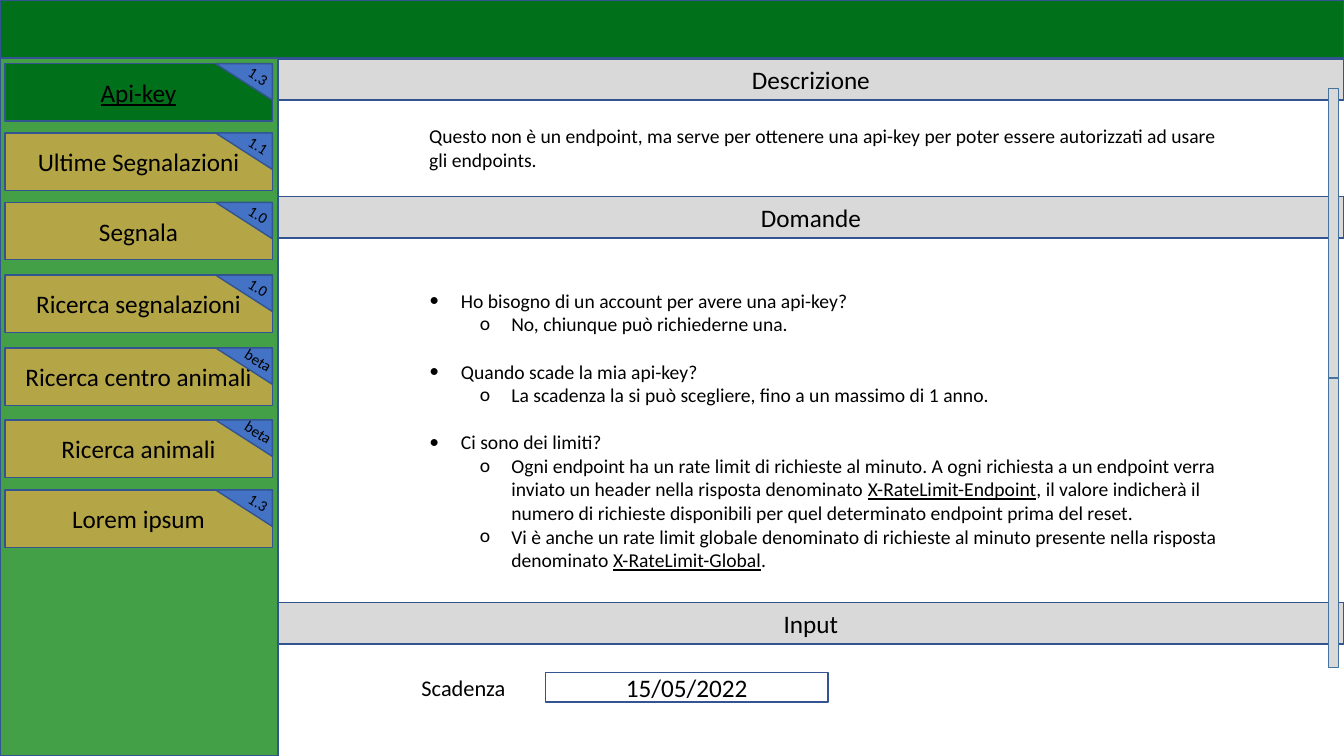
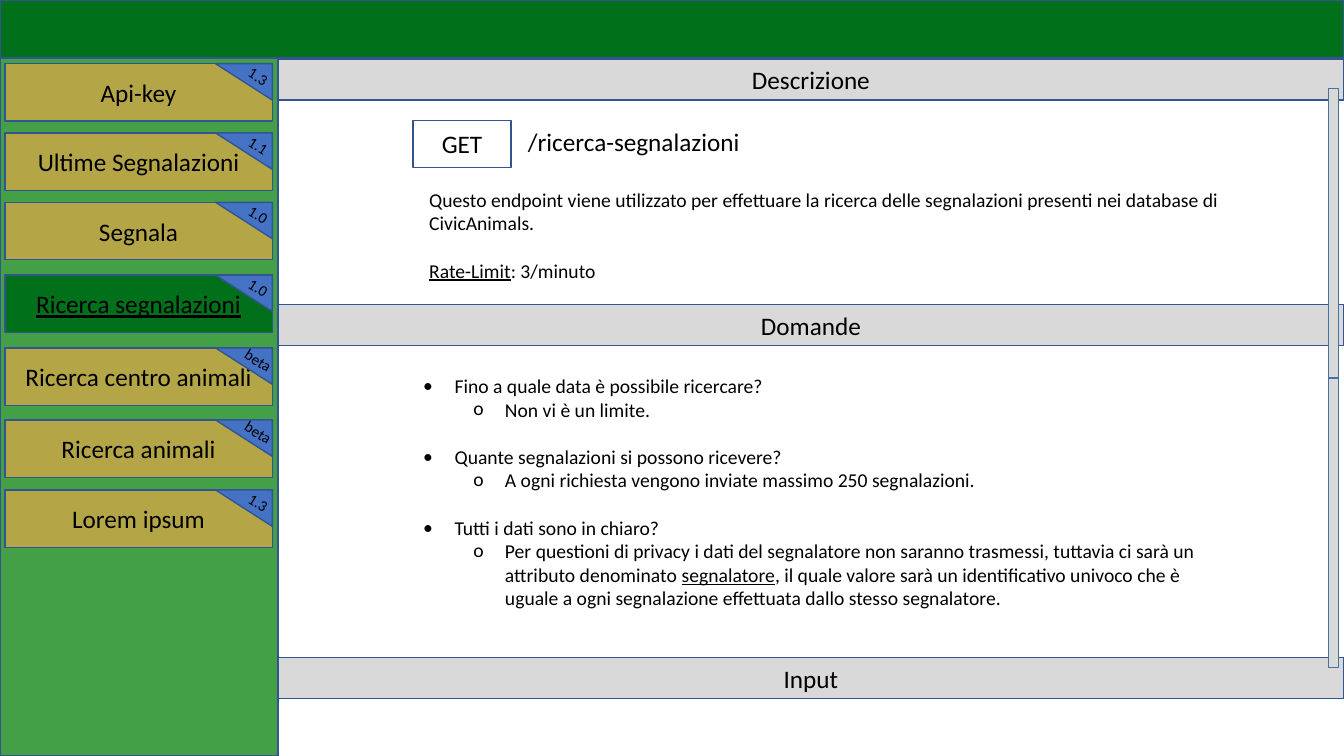
"""Build two API documentation pages with a shared menu, section bands and scroll bar."""
from dataclasses import dataclass

from lxml import etree
from pptx import Presentation
from pptx import util as u
from pptx.dml.color import RGBColor
from pptx.enum import shapes, text
from pptx.oxml.ns import qn


@dataclass(frozen=True)
class Theme:
    font: str = "Calibri"
    ink: str = "000000"
    dark: str = "00701A"
    green: str = "43A047"
    gold: str = "B4A647"
    blue: str = "4472C4"
    grey: str = "D9D9D9"
    white: str = "FFFFFF"
    edge: str = "325491"
    rail: str = "43739E"
    head: float = 18
    label: float = 16
    body: float = 14
    tag: float = 11
    gap: float = 17


T = Theme()
RECT = shapes.MSO_SHAPE.RECTANGLE
LEFT, MID = text.PP_ALIGN.LEFT, text.PP_ALIGN.CENTER
TOP, CORE = text.MSO_ANCHOR.TOP, text.MSO_ANCHOR.MIDDLE


def place(shape, spot=None, fill=None, edge=T.edge):
    """Move a shape to its spot in points and paint it."""
    for name, value in zip(("left", "top", "width", "height"), spot or ()):
        setattr(shape, name, u.Pt(value))
    if fill:
        shape.shadow.inherit = False
        shape.fill.solid()
        shape.fill.fore_color.rgb = RGBColor.from_string(fill)
        shape.line.color.rgb = RGBColor.from_string(edge)
        shape.line.width = u.Pt(1)
    return shape


def write(shape, lines, size=T.head, align=MID, anchor=CORE):
    """Fill a shape with lines, where underscores enclose underlined words."""
    frame = shape.text_frame
    look = {"word_wrap": True, "auto_size": text.MSO_AUTO_SIZE.NONE,
            "vertical_anchor": anchor}
    for name, value in look.items():
        setattr(frame, name, value)
    for row, line in enumerate(lines):
        para = frame.add_paragraph() if row else frame.paragraphs[0]
        para.alignment = align
        para.space_before = u.Pt(T.gap if row else 0)
        for spot, part in enumerate(line.split("_")):
            if part:
                run = para.add_run()
                run.text = part
                look = {"name": T.font, "size": u.Pt(size), "underline": spot % 2 == 1}
                for name, value in look.items():
                    setattr(run.font, name, value)
                run.font.color.rgb = RGBColor.from_string(T.ink)
    return frame.paragraphs


MENU = [
    ("Api-key", "1.3", 45.5),
    ("Ultime Segnalazioni", "1.1", 95),
    ("Segnala", "1.0", 144.5),
    ("Ricerca segnalazioni", "1.0", 196.5),
    ("Ricerca centro animali", "beta", 248.5),
    ("Ricerca animali", "beta", 300),
    ("Lorem ipsum", "1.3", 350),
]
PAGES = [
    {
        "active": "Api-key",
        "bands": {"Domande": 140.5, "Input": 430.5},
        "intro": (299.5, 85, 584, 41),
        "about": ["Questo non è un endpoint, ma serve per ottenere una api-key per "
                  "poter essere autorizzati ad usare gli endpoints."],
        "list": (299.5, 202.5, 584, 211),
        "asks": [
            (0, "Ho bisogno di un account per avere una api-key?"),
            (1, "No, chiunque può richiederne una."),
            (0, "Quando scade la mia api-key?"),
            (1, "La scadenza la si può scegliere, fino a un massimo di 1 anno."),
            (0, "Ci sono dei limiti?"),
            (1, "Ogni endpoint ha un rate limit di richieste al minuto. A ogni "
                "richiesta a un endpoint verra inviato un header nella risposta "
                "denominato _X-RateLimit-Endpoint_, il valore indicherà il numero di "
                "richieste disponibili per quel determinato endpoint prima del reset."),
            (1, "Vi è anche un rate limit globale denominato di richieste al minuto "
                "presente nella risposta denominato _X-RateLimit-Global_."),
        ],
        "field": ("15/05/2022", (389.5, 480.5, 202, 21)),
        "note": ("Scadenza", (294, 478, 77, 27), T.label),
    },
    {
        "active": "Ricerca segnalazioni",
        "bands": {"Domande": 217.5, "Input": 469.5},
        "intro": (299.5, 130.5, 584, 75),
        "about": ["Questo endpoint viene utilizzato per effettuare la ricerca delle "
                  "segnalazioni presenti nei database di CivicAnimals.",
                  "_Rate-Limit_: 3/minuto"],
        "list": (295, 263.5, 584, 177),
        "asks": [
            (0, "Fino a quale data è possibile ricercare?"),
            (1, "Non vi è un limite."),
            (0, "Quante segnalazioni si possono ricevere?"),
            (1, "A ogni richiesta vengono inviate massimo 250 segnalazioni."),
            (0, "Tutti i dati sono in chiaro?"),
            (1, "Per questioni di privacy i dati del segnalatore non saranno "
                "trasmessi, tuttavia ci sarà un attributo denominato _segnalatore_, il "
                "quale valore sarà un identificativo univoco che è uguale a ogni "
                "segnalazione effettuata dallo stesso segnalatore."),
        ],
        "field": ("GET", (295, 86, 70, 33.5)),
        "note": ("/ricerca-segnalazioni", (370, 87, 370, 29), T.head),
    },
]

deck = Presentation()
deck.slide_width, deck.slide_height = u.Pt(960), u.Pt(540)

for page in PAGES:
    slide = deck.slides.add_slide(deck.slide_layouts[1])
    pool = slide.shapes
    for spot, fill in (((0, 0, 960, 41), T.dark), ((0, 42, 198.5, 498), T.green)):
        place(pool.add_shape(RECT, 0, 0, 0, 0), spot, fill)

    for name, mark, top in MENU:
        live = name == page["active"]
        item = place(pool.add_shape(RECT, 0, 0, 0, 0), (3.5, top, 191, 41),
                     T.dark if live else T.gold)
        write(item, [f"_{name}_" if live else name])
        fold = pool.build_freeform(u.Pt(154), u.Pt(top))
        fold.add_line_segments([(u.Pt(194.5), u.Pt(top)),
                                (u.Pt(194.5), u.Pt(top + 26))], close=True)
        place(fold.convert_to_shape(), fill=T.blue)
        tag = place(pool.add_textbox(0, 0, 0, 0), (166.5, top - 1.5, 36, 21))
        tag.rotation = 32.5
        write(tag, [mark], T.tag, anchor=TOP)

    title = place(pool.title, (198.5, 42, 761.5, 29.5), T.grey)
    write(title, ["Descrizione"])
    for name, top in page["bands"].items():
        band = place(pool.add_shape(RECT, 0, 0, 0, 0), (198.5, top, 761.5, 29.5), T.grey)
        write(band, [name])

    intro = place(pool.add_textbox(0, 0, 0, 0), page["intro"])
    write(intro, page["about"], T.body, LEFT, TOP)

    asks = place(slide.placeholders[1], page["list"])
    paras = write(asks, [line for _, line in page["asks"]], T.body, LEFT, TOP)
    for para, (level, _) in zip(paras, page["asks"]):
        para.level = level
        if level:
            para.space_before = u.Pt(0)
        props = para._p.get_or_add_pPr()
        props.set("marL", str(u.Pt(58.5 if level else 22.5)))
        props.set("indent", str(-u.Pt(22.5)))
        etree.SubElement(props, qn("a:buFont"), typeface=T.font)
        etree.SubElement(props, qn("a:buChar"), char="•o"[level])

    value, spot = page["field"]
    write(place(pool.add_shape(RECT, 0, 0, 0, 0), spot, T.white), [value])
    label, spot, size = page["note"]
    write(place(pool.add_textbox(0, 0, 0, 0), spot), [label], size, LEFT, TOP)

    for step in range(2):
        place(pool.add_shape(RECT, 0, 0, 0, 0), (949, 63 + 207 * step, 7, 207),
              T.grey, T.rail)

deck.save("out.pptx")
